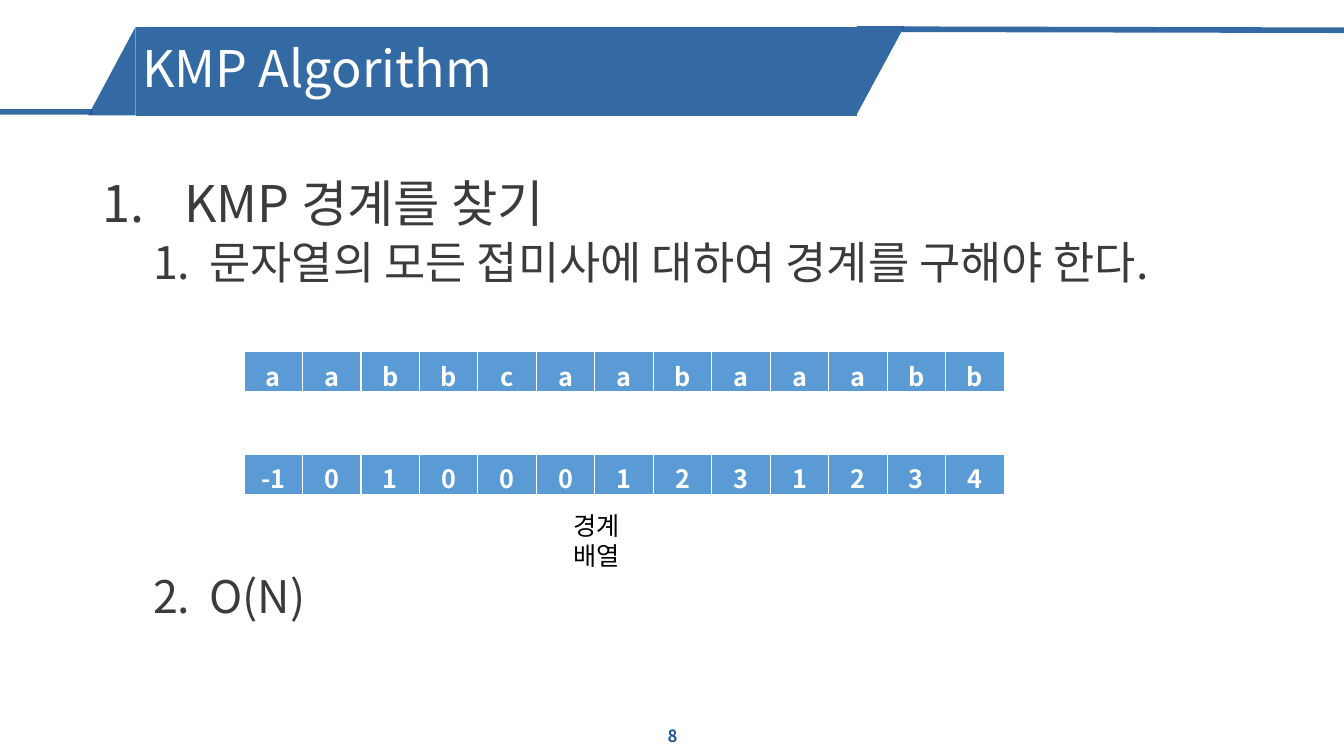
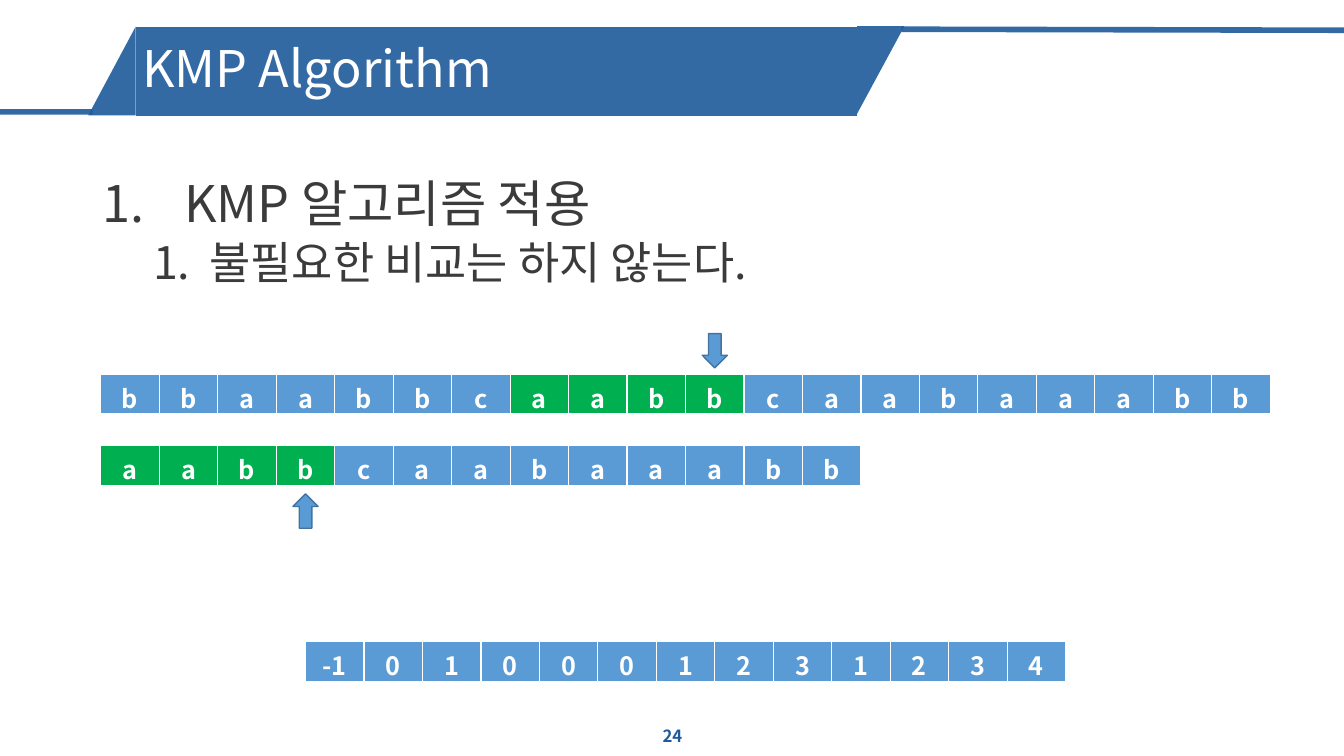
"""Build two slides on the KMP border array and its use."""
import dataclasses
import typing

import lxml.etree
import pptx
import pptx.dml.color
import pptx.enum.dml
import pptx.enum.shapes
import pptx.enum.text
import pptx.oxml.ns
import pptx.util

Inches = pptx.util.Inches
Pt = pptx.util.Pt
qn = pptx.oxml.ns.qn
Form = pptx.enum.shapes.MSO_SHAPE
Align = pptx.enum.text.PP_ALIGN
Anchor = pptx.enum.text.MSO_ANCHOR
Fit = pptx.enum.text.MSO_AUTO_SIZE

FACE = "Noto Sans CJK KR"
NAVY, BLUE, GREEN, EDGE = "1E5A9B", "5B9BD5", "00B050", "43739E"
WHITE, BLACK, GREY = "FFFFFF", "000000", "3B3B3B"
CELL, ROW = 0.58, 0.41
ARROW = (0.25, 0.34)
BORDERS = (-1, 0, 1, 0, 0, 0, 1, 2, 3, 1, 2, 3, 4)
WORD = "aabbcaabaaabb"


@dataclasses.dataclass
class Part:
    """A filled piece of the title band."""
    form: Form
    box: tuple[float, float, float, float]
    turn: int = 0


@dataclasses.dataclass
class Item:
    """A numbered line of the body."""
    text: str
    level: int = 1
    gap: float = 5


@dataclasses.dataclass
class Strip:
    """A one-row table, with the span of its green cells."""
    left: float
    top: float
    marks: typing.Sequence
    green: range = range(0)


@dataclasses.dataclass
class Style:
    """Size, indent and hanging width of a body level."""
    size: int
    left: float
    hang: float


@dataclasses.dataclass
class Point:
    """An arrow centred on a cell of a strip."""
    strip: Strip
    cell: int
    top: float
    turn: int = 0


@dataclasses.dataclass
class Page:
    """All that differs from slide to slide."""
    number: str
    items: list[Item]
    strips: list[Strip]
    points: list[Point] = dataclasses.field(default_factory=list)
    label: str = ""


PARTS = (
    Part(Form.RIGHT_TRIANGLE, (8.3, 0.46, 0.87, 0.47), 90),
    Part(Form.RIGHT_TRIANGLE, (0.67, 0.47, 0.88, 0.47), 270),
    Part(Form.RECTANGLE, (1.35, 0.27, 7.15, 0.88)),
)
RULES = ((0.92, 1.11, -0.03, 1.11), (13.33, 0.3, 8.94, 0.29))
STYLES = (Style(36, 0.81, 0.81), Style(32, 1.06, 0.56))


def tint(code: str) -> pptx.dml.color.RGBColor:
    """Turn a hex string into a colour."""
    return pptx.dml.color.RGBColor.from_string(code)


def apply(target: typing.Any, values: dict) -> None:
    """Set each value as an attribute of the target."""
    for name, value in values.items():
        setattr(target, name, value)


def paint(fill: typing.Any, code: str) -> None:
    """Give a fill one solid colour."""
    fill.solid()
    fill.fore_color.rgb = tint(code)


def fade(shape: typing.Any) -> None:
    """Make the colours of a shape 90 percent opaque."""
    for node in shape.element.iter(qn("a:srgbClr")):
        lxml.etree.SubElement(node, qn("a:alpha"), val="90000")


def write(para: typing.Any, text: str, size: int, code: str, bold: bool = False) -> None:
    """Add a run in the shared typeface."""
    run = para.add_run()
    run.text = text
    apply(run.font, {"name": FACE, "size": Pt(size), "bold": bold})
    run.font.color.rgb = tint(code)
    latin = run.font._element.find(qn("a:latin"))
    east = lxml.etree.Element(qn("a:ea"), typeface=FACE)
    latin.addnext(east)


def place(slide: typing.Any, *box: float) -> typing.Any:
    """Add a wrapping text box and return its frame."""
    frame = slide.shapes.add_textbox(*map(Inches, box)).text_frame
    frame.word_wrap = True
    return frame


def draw(slide: typing.Any, part: Part, code: str, edge: str = "") -> typing.Any:
    """Add a plain preset shape."""
    shape = slide.shapes.add_shape(part.form, *map(Inches, part.box))
    shape.rotation = part.turn
    shape.shadow.inherit = False
    paint(shape.fill, code)
    if edge:
        paint(shape.line.fill, edge)
        shape.line.width = Pt(1)
    else:
        shape.line.fill.background()
    return shape


def frame_page(slide: typing.Any, number: str) -> None:
    """Draw the title band, the title and the page number."""
    for part in PARTS:
        fade(draw(slide, part, NAVY))
    for ends in RULES:
        rule = slide.shapes.add_connector(
            pptx.enum.shapes.MSO_CONNECTOR.STRAIGHT, *map(Inches, ends))
        paint(rule.line.fill, NAVY)
        rule.line.width = Pt(4)
        lxml.etree.SubElement(rule.element.spPr, qn("a:effectLst"))
        fade(rule)
    title = slide.shapes.title
    apply(title, {"left": Inches(1.31), "top": Inches(0.3),
                  "width": Inches(7.15), "height": Inches(0.81)})
    apply(title.text_frame, {"vertical_anchor": Anchor.MIDDLE,
                             "auto_size": Fit.NONE, "word_wrap": True})
    para = title.text_frame.paragraphs[0]
    apply(para, {"alignment": Align.LEFT, "line_spacing": 0.9})
    write(para, "KMP Algorithm", 36, WHITE)
    slide.shapes.element.append(title.element)
    foot = place(slide, 5.17, 7.1, 3, 0.4)
    foot.vertical_anchor = Anchor.MIDDLE
    foot.paragraphs[0].alignment = Align.CENTER
    write(foot.paragraphs[0], number, 12, NAVY, True)


def add_items(slide: typing.Any, items: list[Item]) -> None:
    """Write the numbered body lines."""
    frame = place(slide, 0.92, 1.73, 11.44, 4.97)
    for rank, item in enumerate(items):
        para = frame.add_paragraph() if rank else frame.paragraphs[0]
        style = STYLES[item.level]
        props = para._p.get_or_add_pPr()
        props.set("marL", str(Inches(style.left)))
        props.set("indent", str(-Inches(style.hang)))
        lxml.etree.SubElement(props, qn("a:buFont"), typeface=FACE)
        lxml.etree.SubElement(props, qn("a:buAutoNum"), type="arabicPeriod")
        apply(para, {"level": item.level, "line_spacing": 0.9})
        if rank:
            para.space_before = Pt(item.gap)
        write(para, item.text, style.size, GREY)


def add_edges(cell: typing.Any) -> None:
    """Give a cell white borders, with a thick one below."""
    props = cell._tc.get_or_add_tcPr()
    for rank, (side, width) in enumerate({"L": 1, "R": 1, "T": 1, "B": 3}.items()):
        line = lxml.etree.Element(qn(f"a:ln{side}"), w=str(Pt(width)))
        solid = lxml.etree.SubElement(line, qn("a:solidFill"))
        lxml.etree.SubElement(solid, qn("a:srgbClr"), val=WHITE)
        props.insert(rank, line)


def add_strip(slide: typing.Any, strip: Strip) -> None:
    """Add a strip of marked cells as a table."""
    count = len(strip.marks)
    box = (strip.left, strip.top, CELL * count, ROW)
    table = slide.shapes.add_table(1, count, *map(Inches, box)).table
    table.horz_banding = False
    for rank, mark in enumerate(strip.marks):
        table.columns[rank].width = Inches(CELL)
        cell = table.cell(0, rank)
        paint(cell.fill, GREEN if rank in strip.green else BLUE)
        add_edges(cell)
        para = cell.text_frame.paragraphs[0]
        para.alignment = Align.CENTER
        write(para, str(mark), 18, WHITE, True)


def add_point(slide: typing.Any, point: Point) -> None:
    """Add an arrow over or under its cell."""
    wide, high = ARROW
    left = point.strip.left + CELL * (point.cell + 0.5) - wide / 2
    part = Part(Form.DOWN_ARROW, (left, point.top, wide, high), point.turn)
    draw(slide, part, BLUE, EDGE)


def build(deck: typing.Any, page: Page) -> None:
    """Add one slide."""
    slide = deck.slides.add_slide(deck.slide_layouts[5])
    frame_page(slide, page.number)
    add_items(slide, page.items)
    for strip in page.strips:
        add_strip(slide, strip)
    for point in page.points:
        add_point(slide, point)
    if page.label:
        frame = place(slide, 5.59, 5.01, 1, 0.7)
        write(frame.paragraphs[0], page.label, 18, BLACK)


def main() -> None:
    """Build and save the deck."""
    deck = pptx.Presentation()
    apply(deck, {"slide_width": Inches(13.33), "slide_height": Inches(7.5)})
    text = Strip(1, 3.71, "bbaabbcaabbcaabaaabb", range(7, 11))
    word = Strip(1, 4.42, WORD, range(4))
    pages = (
        Page("8",
             [Item("KMP 경계를 찾기", 0),
              Item("문자열의 모든 접미사에 대하여 경계를 구해야 한다."),
              Item("O(N)", gap=204)],
             [Strip(2.42, 3.49, WORD), Strip(2.42, 4.51, BORDERS)],
             label="경계 배열"),
        Page("24",
             [Item("KMP 알고리즘 적용", 0), Item("불필요한 비교는 하지 않는다.")],
             [word, Strip(3.03, 6.36, BORDERS), text],
             [Point(text, 10, 3.31), Point(word, 3, 4.9, 180)]),
    )
    for page in pages:
        build(deck, page)
    deck.save("out.pptx")


if __name__ == "__main__":
    main()
